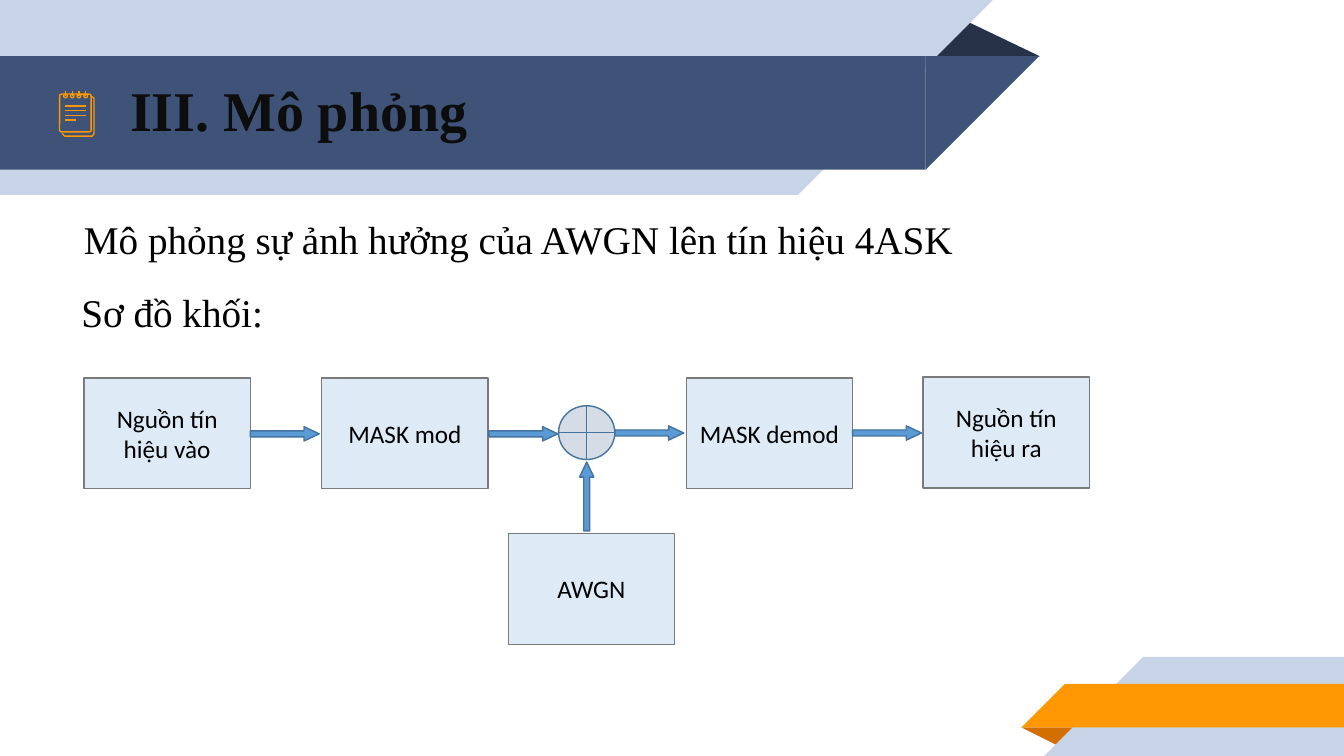
"""Builds the slide with the block diagram of a 4ASK link with noise."""
from lxml.etree import SubElement
from pptx import Presentation
from pptx.dml.color import RGBColor
from pptx.enum.shapes import MSO_CONNECTOR, MSO_SHAPE
from pptx.enum.text import MSO_ANCHOR, PP_ALIGN
from pptx.oxml.ns import qn
from pptx.util import Inches, Pt

WIDE, HIGH = Inches(13.333), Inches(7.5)
COLS, ROWS = 160, 90
BOX_W, BOX_H = 19.8, 13.2
SERIF, SANS = "Times New Roman", "Calibri"
HEX = {
    "pale": "C7D3E6", "navy": "3F5378", "night": "263248",
    "orange": "FF9800", "rust": "D26F00", "title": "0D0D0D",
    "black": "000000", "box": "DEEBF7", "edge": "7A7A7A",
    "arrow": "5B9BD5", "rim": "43739E", "sum": "D6DCE5",
}


def col(x):
    """Turn grid columns into a length."""
    return round(WIDE * x / COLS)


def row(y):
    """Turn grid rows into a length."""
    return round(HIGH * y / ROWS)


def paint(shape, fill=None, line=None, width=1):
    """Set the fill and the outline, and drop the shadow."""
    shape.shadow.inherit = False
    if fill:
        shape.fill.solid()
        shape.fill.fore_color.rgb = RGBColor.from_string(HEX[fill])
    else:
        shape.fill.background()
    if line:
        shape.line.color.rgb = RGBColor.from_string(HEX[line])
        shape.line.width = Pt(width)
    else:
        shape.line.fill.background()
    return shape


def form(slide, kind, x, y, w, h, *look):
    """Add a preset shape placed on the grid."""
    shape = slide.shapes.add_shape(kind, col(x), row(y), col(w), row(h))
    return paint(shape, *look)


def trace(slide, points, *look, close=True):
    """Add an outline through grid points."""
    spots = [(col(x), row(y)) for x, y in points]
    pen = slide.shapes.build_freeform(*spots[0], scale=1.0)
    pen.add_line_segments(spots[1:], close=close)
    return paint(pen.convert_to_shape(), *look)


def stroke(slide, x1, y1, x2, y2):
    """Add a thin line of the notepad."""
    line = slide.shapes.add_connector(
        MSO_CONNECTOR.STRAIGHT, col(x1), row(y1), col(x2), row(y2))
    line.line.color.rgb = RGBColor.from_string(HEX["orange"])
    line.line.width = Pt(0.96)
    SubElement(line._element.spPr, qn("a:effectLst"))


def write(shape, text, size, font, color, bold=False):
    """Put one paragraph into a shape and return it."""
    frame = shape.text_frame
    frame.word_wrap = True
    frame.text = text
    para = frame.paragraphs[0]
    for run in para.runs:
        run.font.size = Pt(size)
        run.font.name = font
        run.font.bold = bold
        run.font.color.rgb = RGBColor.from_string(HEX[color])
    return para


def label(slide, text, x, y, w, h, size, color="black", bold=False):
    """Add a text box in the serif font."""
    box = slide.shapes.add_textbox(col(x), row(y), col(w), row(h))
    write(box, text, size, SERIF, color, bold)
    return box


def band(slide, x, y, w, h, color, side):
    """Add a bar with a slanted tip on its right (1) or left (-1)."""
    form(slide, MSO_SHAPE.RECTANGLE, x, y, w, h, color)
    root, base = (x + w, y) if side > 0 else (x, y + h)
    tip = [(root, base), (root + side * h, base), (root, base + side * h)]
    trace(slide, tip, color)


def pad(slide):
    """Draw the notepad icon."""
    look = (None, "orange", 0.96)
    sheet = [(7.4, 15.9), (7.7, 16.2), (11, 16.2), (11.2, 15.9),
             (11.2, 11.7), (11, 11.5)]
    trace(slide, sheet, *look, close=False)
    page = form(slide, MSO_SHAPE.ROUNDED_RECTANGLE,
                7.1, 11.2, 3.75, 4.5, *look)
    page.adjustments[0] = 0.06
    for i in range(4):
        mid = 7.8 + 0.8 * i
        form(slide, MSO_SHAPE.OVAL, mid - 0.22, 11.2, 0.44, 0.44, *look)
        stroke(slide, mid, 10.8, mid, 11.4)
        stroke(slide, 7.7, 12.6 + 0.56 * i, 9 if i == 3 else 10.2,
               12.6 + 0.56 * i)


def block(slide, text, x, y):
    """Add a labelled block of the diagram."""
    box = form(slide, MSO_SHAPE.RECTANGLE, x, y, BOX_W, BOX_H, "box", "edge")
    box.text_frame.vertical_anchor = MSO_ANCHOR.MIDDLE
    write(box, text, 18, SANS, "black").alignment = PP_ALIGN.CENTER


def arrow(slide, kind, x, y, w, h):
    """Add a block arrow."""
    shape = form(slide, kind, x, y, w, h, "arrow", "rim")
    shape.adjustments[0] = 0.42
    shape.adjustments[1] = 1.06


def chain(slide):
    """Draw the block diagram."""
    for text, x, y in (("Nguồn tín hiệu vào", 10, 45),
                       ("MASK mod", 38.3, 45),
                       ("MASK demod", 81.7, 45),
                       ("Nguồn tín hiệu ra", 109.9, 44.9),
                       ("AWGN", 60.5, 63.5)):
        block(slide, text, x, y)
    form(slide, MSO_SHAPE.FLOWCHART_OR, 66.5, 48.3, 6.7, 6.4, "sum", "rim")
    for x, y in ((29.8, 50.8), (58.2, 50.8), (73.2, 50.7), (101.5, 50.7)):
        arrow(slide, MSO_SHAPE.RIGHT_ARROW, x, y, 8.2, 1.7)
    arrow(slide, MSO_SHAPE.UP_ARROW, 69, 55, 1.7, 8.2)


def main():
    """Build and save the slide."""
    deck = Presentation()
    deck.slide_width, deck.slide_height = WIDE, HIGH
    slide = deck.slides.add_slide(deck.slide_layouts[6])

    trace(slide, [(110.2, 6.7), (114.4, 2.2), (123.8, 6.7)], "night")
    band(slide, 0, 0, 95, 23.2, "pale", 1)
    band(slide, 0, 6.7, 110.2, 13.5, "navy", 1)
    trace(slide, [(128.4, 86.6), (126.2, 88.9), (121.6, 86.6)], "rust")
    band(slide, 136.1, 78.2, 23.9, 11.8, "pale", -1)
    band(slide, 126.8, 81.4, 33.2, 5.2, "orange", -1)

    title = label(slide, "III. Mô phỏng", 14.3, 6.8, 92, 13.4, 40,
                  "title", True)
    title.text_frame.vertical_anchor = MSO_ANCHOR.MIDDLE
    title.text_frame.paragraphs[0].line_spacing = 0.9
    pad(slide)
    label(slide, "Mô phỏng sự ảnh hưởng của AWGN lên tín hiệu 4ASK",
          8.8, 25, 143.8, 6.9, 28)
    label(slide, "Sơ đồ khối:", 8.5, 33.7, 143.8, 6.9, 28)
    chain(slide)
    deck.save("out.pptx")


if __name__ == "__main__":
    main()
